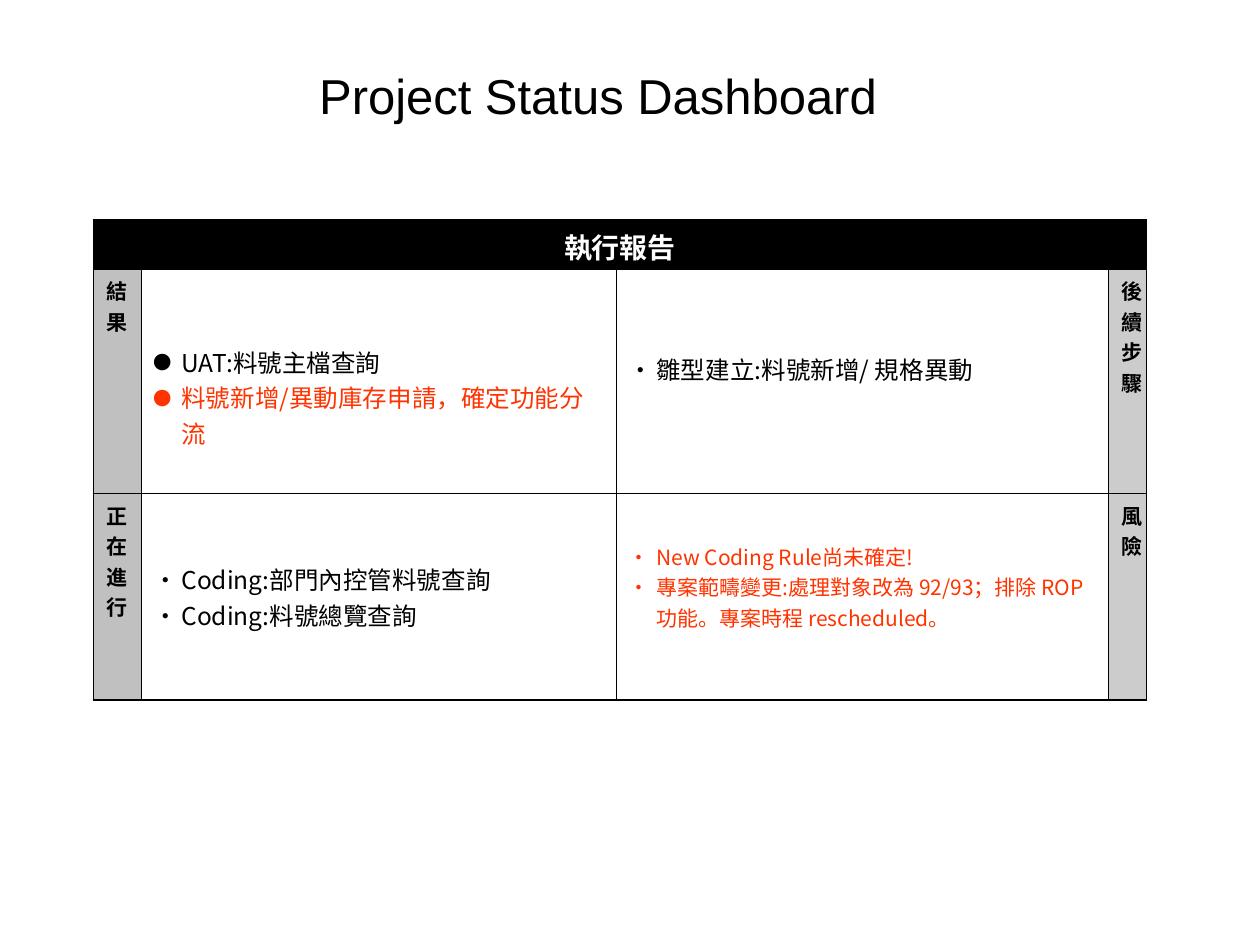
from lxml.etree import SubElement
from pptx import Presentation
from pptx.dml.color import RGBColor
from pptx.enum.text import MSO_ANCHOR, PP_ALIGN
from pptx.oxml.ns import qn
from pptx.util import Inches, Pt

COLORS = {"ink": "000000", "paper": "FFFFFF", "alert": "FF3300",
          "left_label": "C0C0C0", "right_label": "CCCCCC"}
CJK = "Noto Sans CJK TC"
SLIDE_WIDTH, SLIDE_HEIGHT = Inches(10), Inches(7.5)
COLUMN_SHARES = (0.38, 3.77, 3.91, 0.3)
ROW_SHARES = (0.39, 1.78, 1.64)

# Each panel: (row, column, text size, share of row height kept free above and below, items).
# Each item: (text, colour, bullet, bullet size in percent).
PANELS = [
    (1, 1, 14, 0.14, 0, [("UAT:料號主檔查詢", "ink", "●", 75),
                         ("料號新增/異動庫存申請，確定功能分流", "alert", "●", 75)]),
    (1, 2, 14, 0, 0.11, [("雛型建立:料號新增/ 規格異動", "ink", "•", 100)]),
    (2, 1, 14, 0, 0, [("Coding:部門內控管料號查詢", "ink", "•", 100),
                      ("Coding:料號總覽查詢", "ink", "•", 100)]),
    (2, 2, 12, 0, 0.1, [("New Coding Rule尚未確定!", "alert", "•", 100),
                        ("專案範疇變更:處理對象改為 92/93；排除 ROP功能。專案時程 rescheduled。",
                         "alert", "•", 100)]),
]
LABELS = [(1, 0, "結果"), (1, 3, "後續步驟"), (2, 0, "正在進行"), (2, 3, "風險")]


def box_of(left, top, width, height):
    """Turn shares of the slide's size into lengths."""
    return (int(left * SLIDE_WIDTH), int(top * SLIDE_HEIGHT),
            int(width * SLIDE_WIDTH), int(height * SLIDE_HEIGHT))


def add_span(para, text, size, color, font=CJK, bold=False):
    span = para.add_run()
    span.text = text
    span.font.size = Pt(size)
    span.font.bold = bold
    span.font.name = font
    span.font.color.rgb = RGBColor.from_string(COLORS[color])
    SubElement(span.font._element, qn("a:ea"), typeface=font)


def add_bullet(para, mark, color, percent):
    properties = para._p.get_or_add_pPr()
    hang = Inches(0.22)
    properties.set("marL", str(hang))
    properties.set("indent", str(-hang))
    tint = SubElement(properties, qn("a:buClr"))
    SubElement(tint, qn("a:srgbClr"), val=COLORS[color])
    SubElement(properties, qn("a:buSzPct"), val=str(percent * 1000))
    SubElement(properties, qn("a:buFont"), typeface=CJK)
    SubElement(properties, qn("a:buChar"), char=mark)


def add_borders(cell, row, column):
    """Draw the table's outer edges thicker than its inner lines."""
    outer = {"lnL": column == 0, "lnR": column == len(COLUMN_SHARES) - 1,
             "lnT": row == 0, "lnB": row == len(ROW_SHARES) - 1}
    for side, is_outer in outer.items():
        width = Pt(0.96 if is_outer else 0.45)
        line = SubElement(cell._tc.get_or_add_tcPr(), qn(f"a:{side}"), w=str(width))
        fill = SubElement(line, qn("a:solidFill"))
        SubElement(fill, qn("a:srgbClr"), val=COLORS["ink"])


def fill_cell(cell, color):
    cell.fill.solid()
    cell.fill.fore_color.rgb = RGBColor.from_string(COLORS[color])


def add_title(page, box):
    frame = page.shapes.add_textbox(*box).text_frame
    frame.word_wrap = True
    frame.vertical_anchor = MSO_ANCHOR.MIDDLE
    para = frame.paragraphs[0]
    para.alignment = PP_ALIGN.CENTER
    add_span(para, "Project Status Dashboard ", 28, "ink", font="Arial")


def add_header(table):
    cell = table.cell(0, 0)
    cell.merge(table.cell(0, len(COLUMN_SHARES) - 1))
    fill_cell(cell, "ink")
    cell.vertical_anchor = MSO_ANCHOR.MIDDLE
    para = cell.text_frame.paragraphs[0]
    para.alignment = PP_ALIGN.CENTER
    add_span(para, "執行報告", 16, "paper", bold=True)


def add_label(cell, text, on_left):
    fill_cell(cell, "left_label" if on_left else "right_label")
    para = cell.text_frame.paragraphs[0]
    para.alignment = PP_ALIGN.CENTER if on_left else PP_ALIGN.LEFT
    add_span(para, text, 12, "ink", bold=True)


def add_panel(cell, row_height, size, above, below, items):
    cell.fill.background()
    cell.vertical_anchor = MSO_ANCHOR.MIDDLE
    cell.margin_top = Inches(0.05) + int(row_height * above)
    cell.margin_bottom = Inches(0.05) + int(row_height * below)
    frame = cell.text_frame
    for index, (text, color, mark, percent) in enumerate(items):
        para = frame.add_paragraph() if index else frame.paragraphs[0]
        add_bullet(para, mark, color, percent)
        add_span(para, text, size, color)


def add_report(page, box):
    width, height = box[2:]
    table = page.shapes.add_table(len(ROW_SHARES), len(COLUMN_SHARES), *box).table
    table.first_row = table.horz_banding = False
    for column, share in zip(table.columns, COLUMN_SHARES):
        column.width = int(width * share / sum(COLUMN_SHARES))
    for row, share in zip(table.rows, ROW_SHARES):
        row.height = int(height * share / sum(ROW_SHARES))
    for row in range(len(ROW_SHARES)):
        for column in range(len(COLUMN_SHARES)):
            add_borders(table.cell(row, column), row, column)
    add_header(table)
    for row, column, text in LABELS:
        add_label(table.cell(row, column), text, column == 0)
    for row, column, *content in PANELS:
        add_panel(table.cell(row, column), table.rows[row].height, *content)


def main():
    deck = Presentation()
    deck.slide_width, deck.slide_height = SLIDE_WIDTH, SLIDE_HEIGHT
    page = deck.slides.add_slide(deck.slide_layouts[6])
    add_title(page, box_of(0.05, 0.06, 0.86, 0.08))
    add_report(page, box_of(0.07 + 0.004, 0.233, 0.836, 0.508))
    deck.save("out.pptx")


if __name__ == "__main__":
    main()
